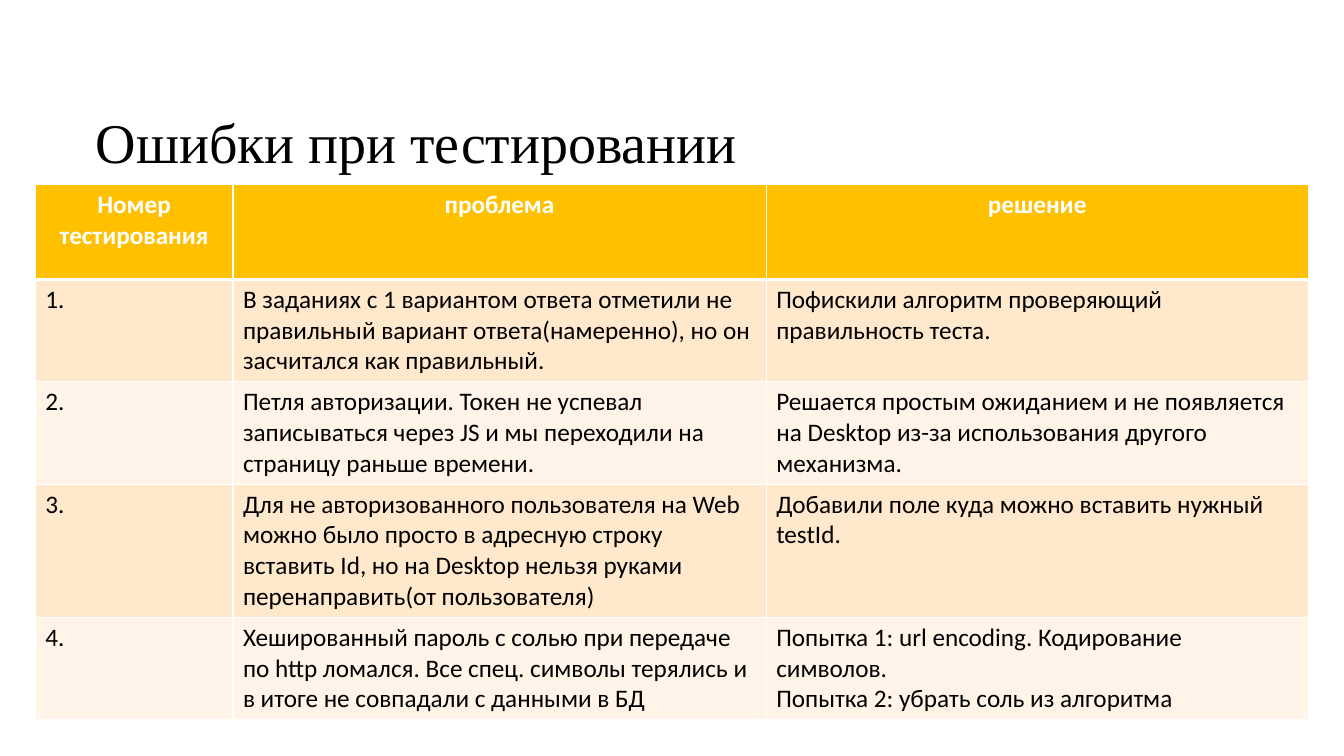
from lxml.etree import SubElement
from pptx import Presentation
from pptx.dml.color import RGBColor
from pptx.enum.text import MSO_ANCHOR as Anchor, PP_ALIGN as Align
from pptx.oxml.ns import qn
from pptx.util import Cm, Pt

COLORS = {
    "text": "000000",
    "white": "FFFFFF",
    "header": "FFC000",
    "odd_row": "FFE8CC",
    "even_row": "FFF4E7",
}
COLUMN_WIDTHS = [4.98, 13.44, 13.66]
ROW_HEIGHTS = [2.39, 2.41, 2.41, 2.41, 2.41]
HEADERS = ["Номер тестирования", "проблема", "решение"]
ERRORS = [
    ("В заданиях с 1 вариантом ответа отметили не правильный вариант "
     "ответа(намеренно), но он засчитался как правильный.",
     "Пофискили алгоритм проверяющий правильность теста."),
    ("Петля авторизации. Токен не успевал записываться через JS и мы "
     "переходили на страницу раньше времени.",
     "Решается простым ожиданием и не появляется на Desktop из-за "
     "использования другого механизма."),
    ("Для не авторизованного пользователя на Web можно было просто в "
     "адресную строку вставить Id, но на Desktop нельзя руками "
     "перенаправить(от пользователя)",
     "Добавили поле куда можно вставить нужный testId."),
    ("Хешированный пароль с солью при передаче по http ломался. Все спец. "
     "символы терялись и в итоге не совпадали с данными в БД",
     "Попытка 1: url encoding. Кодирование символов.\n"
     "Попытка 2: убрать соль из алгоритма"),
]


def rgb(name):
    return RGBColor.from_string(COLORS[name])


def write_text(frame, text, size=18, font="Calibri", color="text",
               bold=False, align=Align.LEFT, spacing=None):
    """Fill a text frame, one paragraph per line of text."""
    frame.text = text
    for paragraph in frame.paragraphs:
        paragraph.alignment = align
        paragraph.line_spacing = spacing
        for run in paragraph.runs:
            run.font.size = Pt(size)
            run.font.name = font
            run.font.bold = bold
            run.font.color.rgb = rgb(color)


def set_borders(cell, **widths):
    """Draw white cell borders with the given widths in points."""
    properties = cell._tc.get_or_add_tcPr()
    for side in ("L", "R", "T", "B"):
        line = SubElement(properties, qn(f"a:ln{side}"),
                          w=str(Pt(widths.get(side, 1))))
        fill = SubElement(line, qn("a:solidFill"))
        SubElement(fill, qn("a:srgbClr"), val=COLORS["white"])


def add_title(slide, text, left, top, width, height):
    title = slide.shapes.title
    title.left, title.top = Cm(left), Cm(top)
    title.width, title.height = Cm(width), Cm(height)
    frame = title.text_frame
    frame.word_wrap = True
    frame.vertical_anchor = Anchor.MIDDLE
    write_text(frame, text, size=40, font="Times New Roman", spacing=0.9)


def add_error_table(slide, left, top):
    rows = [HEADERS]
    rows += [(f"{number}.", *error) for number, error in enumerate(ERRORS, 1)]
    table = slide.shapes.add_table(
        len(rows), len(HEADERS), Cm(left), Cm(top),
        Cm(sum(COLUMN_WIDTHS)), Cm(sum(ROW_HEIGHTS))).table
    for column, width in zip(table.columns, COLUMN_WIDTHS):
        column.width = Cm(width)

    for index, texts in enumerate(rows):
        table.rows[index].height = Cm(ROW_HEIGHTS[index])
        if index == 0:
            fill, borders = "header", {"B": 3}
            style = {"color": "white", "bold": True, "align": Align.CENTER}
        else:
            fill = "odd_row" if index % 2 else "even_row"
            borders = {"T": 3} if index == 1 else {}
            style = {}
        for cell, text in zip(table.rows[index].cells, texts):
            write_text(cell.text_frame, text, **style)
            set_borders(cell, **borders)
            cell.fill.solid()
            cell.fill.fore_color.rgb = rgb(fill)


def main():
    presentation = Presentation()
    presentation.slide_width, presentation.slide_height = Cm(33.87), Cm(19.05)
    # Title Only layout
    slide = presentation.slides.add_slide(presentation.slide_layouts[5])
    slide.background.fill.solid()
    slide.background.fill.fore_color.rgb = rgb("white")
    add_title(slide, "Ошибки при тестировании", 2.16, 1.83, 29.21, 3.68)
    add_error_table(slide, 0.89, 4.65)
    presentation.save("out.pptx")


if __name__ == "__main__":
    main()
